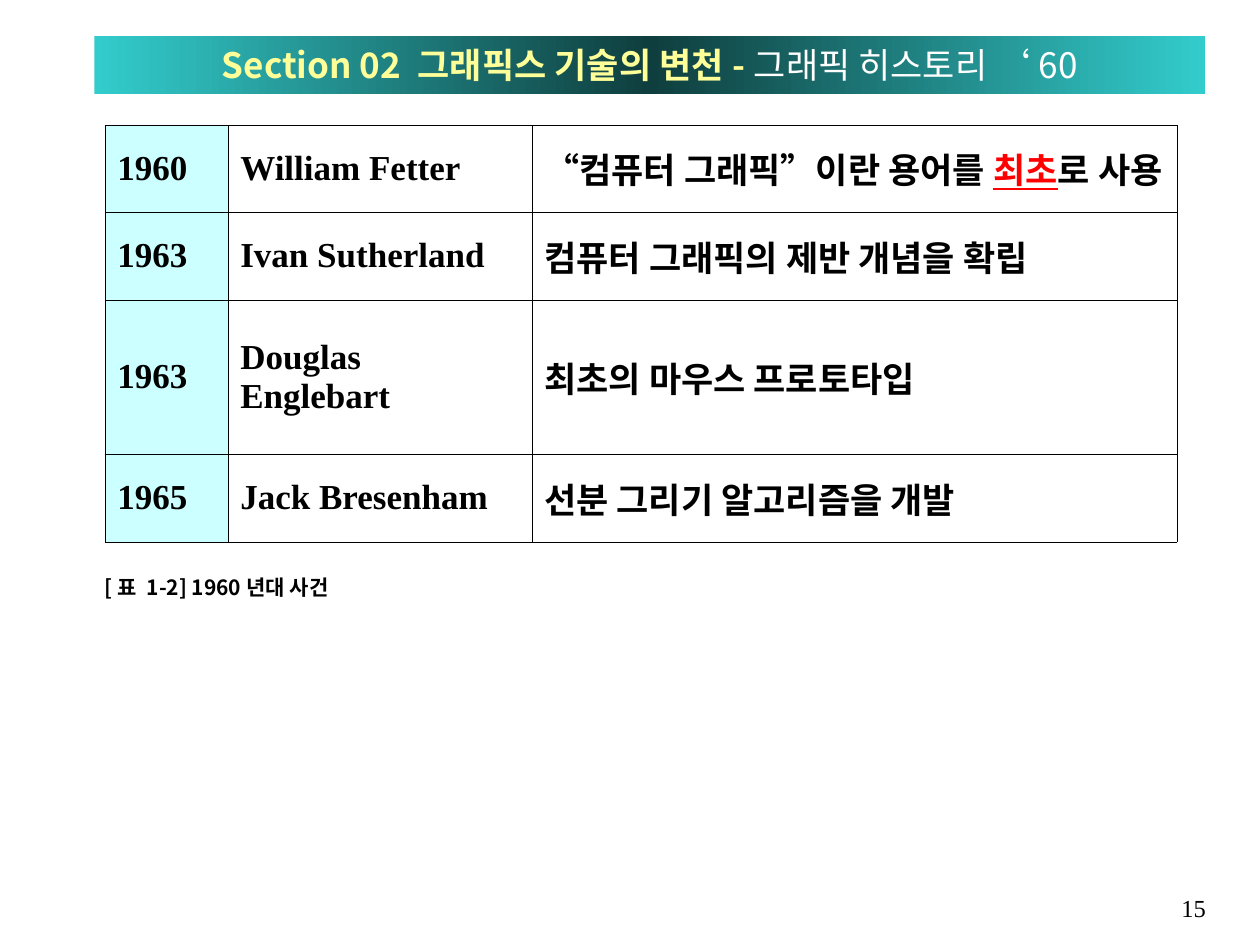
from copy import deepcopy
from pptx import Presentation
from pptx.util import Cm, Pt
from pptx.dml.color import RGBColor as Rgb
from pptx.enum.text import MSO_ANCHOR as Anchor, PP_ALIGN as Align
from pptx.oxml.ns import qn
from lxml.etree import SubElement as Sub

HUES = {"black": "000000", "white": "FFFFFF", "red": "FF0000", "cream": "FFFF99",
        "ice": "CCFFFF", "teal": "33CCCC", "dark": "0F3E3E"}
SERIF, SANS, QUOTE = "Times New Roman", "Noto Sans CJK KR", "DejaVu Sans"
COLS = [2.48, 6.13, 13]
ROWS = [
    (1.76, "1960", "William Fetter", ["“컴퓨터 그래픽”이란 용어를 ", "최초", "로 사용"]),
    (1.76, "1963", "Ivan Sutherland", ["컴퓨터 그래픽의 제반 개념을 확립"]),
    (3.12, "1963", "Douglas Englebart", ["최초의 마우스 프로토타입"]),
    (1.76, "1965", "Jack Bresenham", ["선분 그리기 알고리즘을 개발"]),
]


def hue(name):
    return Rgb.from_string(HUES[name])


def add_run(para, text, size, face, tone="black", bold=False):
    run = para.add_run()
    run.text = text
    font = run.font
    font.size, font.name, font.bold = Pt(size), face, bold
    font.color.rgb = hue(tone)
    Sub(font._element, qn("a:ea")).set("typeface", SANS)
    return run


def add_title(slide):
    box = slide.shapes.title
    box.left, box.top, box.width, box.height = Cm(1.9), Cm(0.72), Cm(22.4), Cm(1.18)
    box.fill.gradient()
    box.fill.gradient_angle = 0
    stops = box.fill.gradient_stops
    first = stops[0]._gs
    first.addnext(deepcopy(first))
    for stop, spot, tone in zip(box.fill.gradient_stops, (0, 0.5, 1), ("teal", "dark", "teal")):
        stop.position = spot
        stop.color.rgb = hue(tone)
    frame = box.text_frame
    frame.vertical_anchor = Anchor.MIDDLE
    para = frame.paragraphs[0]
    para.alignment = Align.CENTER
    add_run(para, "Section 02 그래픽스 기술의 변천-", 20, SANS, "cream", True)
    for text, face in (("그래픽 히스토리 ", SANS), ("‘", QUOTE), ("60", SANS)):
        add_run(para, text, 20, face, "white")


def add_edges(cell):
    props = cell._tc.get_or_add_tcPr()
    for side in "LRTB":
        line = Sub(props, qn(f"a:ln{side}"), w=str(Pt(0.06)))
        fill = Sub(line, qn("a:solidFill"))
        Sub(fill, qn("a:srgbClr"), val=HUES["black"])


def fill_cell(cell, parts, tone):
    cell.vertical_anchor = Anchor.MIDDLE
    add_edges(cell)
    if tone:
        cell.fill.solid()
        cell.fill.fore_color.rgb = hue(tone)
    else:
        cell.fill.background()
    para = cell.text_frame.paragraphs[0]
    para.alignment = Align.JUSTIFY
    for part in parts:
        key = part == "최초"
        run = add_run(para, part, 20, SERIF, "red" if key else "black", True)
        if key:
            run.font.underline = True


def add_grid(slide):
    high = sum(row[0] for row in ROWS)
    table = slide.shapes.add_table(len(ROWS), len(COLS), Cm(2.11), Cm(2.52),
                                   Cm(sum(COLS)), Cm(high)).table
    table.first_row = table.horz_banding = False
    for col, wide in zip(table.columns, COLS):
        col.width = Cm(wide)
    for row, (tall, year, name, deed) in zip(table.rows, ROWS):
        row.height = Cm(tall)
        for cell, parts, tone in zip(row.cells, ([year], [name], deed), ("ice", None, None)):
            fill_cell(cell, parts, tone)


def add_note(slide, spot, text, size, face, bold=False):
    frame = slide.shapes.add_textbox(*map(Cm, spot)).text_frame
    frame.word_wrap = True
    para = frame.paragraphs[0]
    add_run(para, text, size, face, bold=bold)
    return frame, para


def add_label(slide):
    frame, para = add_note(slide, (2.11, 11.53, 7.21, 0.56), "[표 1-2] 1960년대 사건", 12, SANS, True)
    frame.margin_left = frame.margin_right = frame.margin_top = frame.margin_bottom = 0
    para.line_spacing = 1.1
    para.space_before = Pt(7.5)


def main():
    deck = Presentation()
    deck.slide_width, deck.slide_height = Cm(25.4), Cm(19.05)
    slide = deck.slides.add_slide(deck.slide_layouts[5])
    add_title(slide)
    add_grid(slide)
    add_label(slide)
    para = add_note(slide, (23.5, 17.88, 1.06, 0.43), "15", 14, SERIF)[1]
    para.alignment = Align.RIGHT
    deck.save("out.pptx")


if __name__ == "__main__":
    main()
